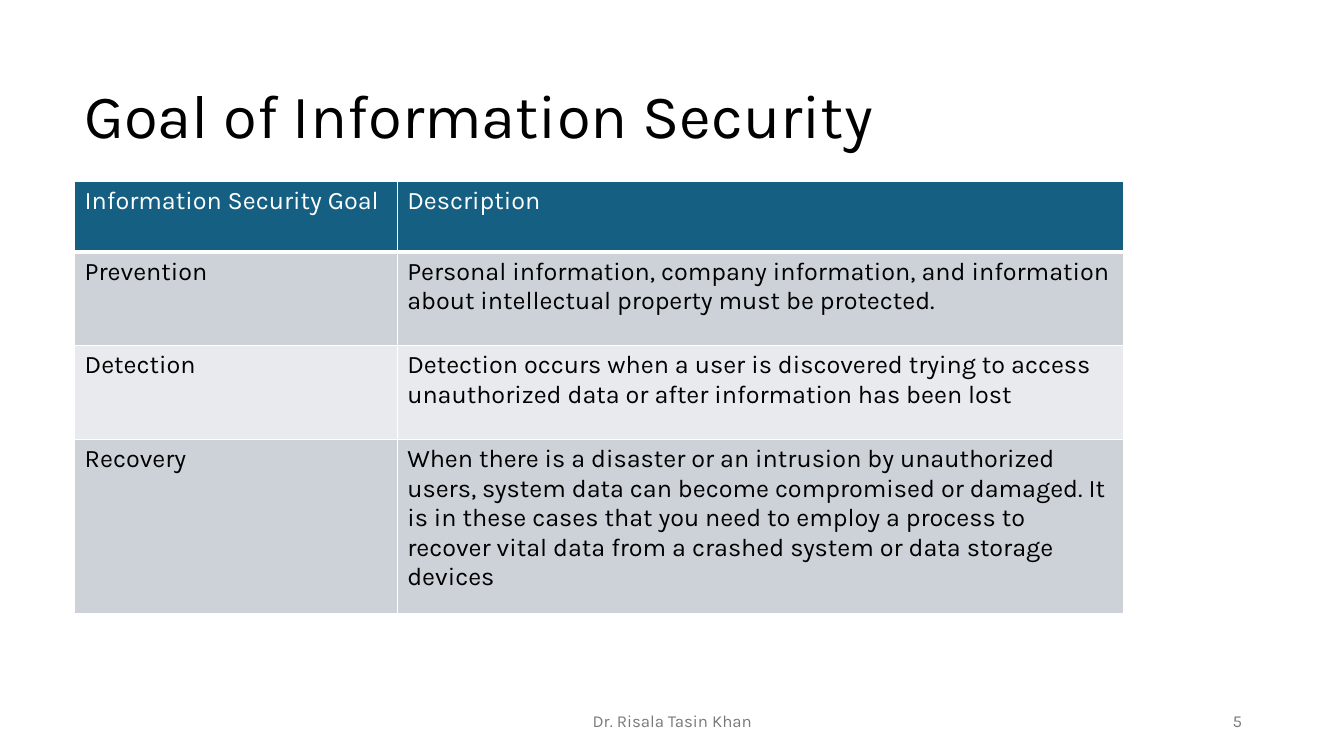
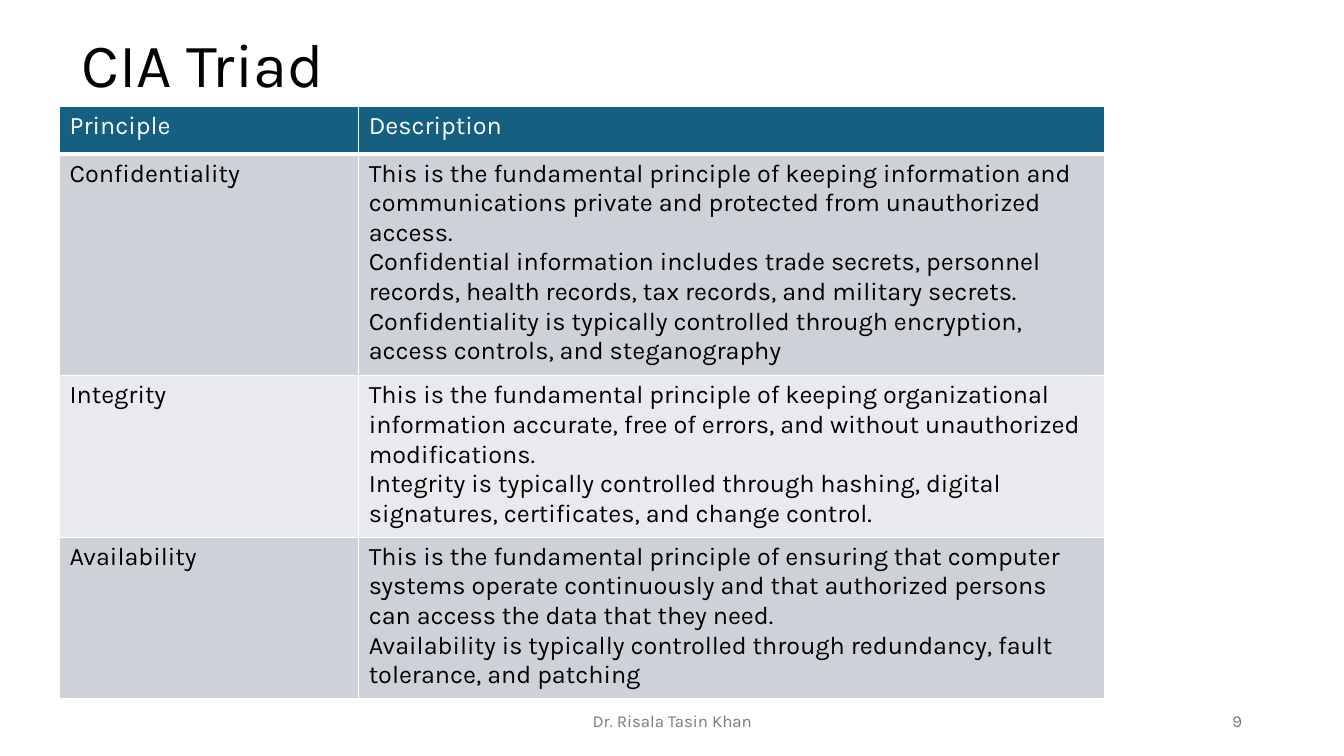
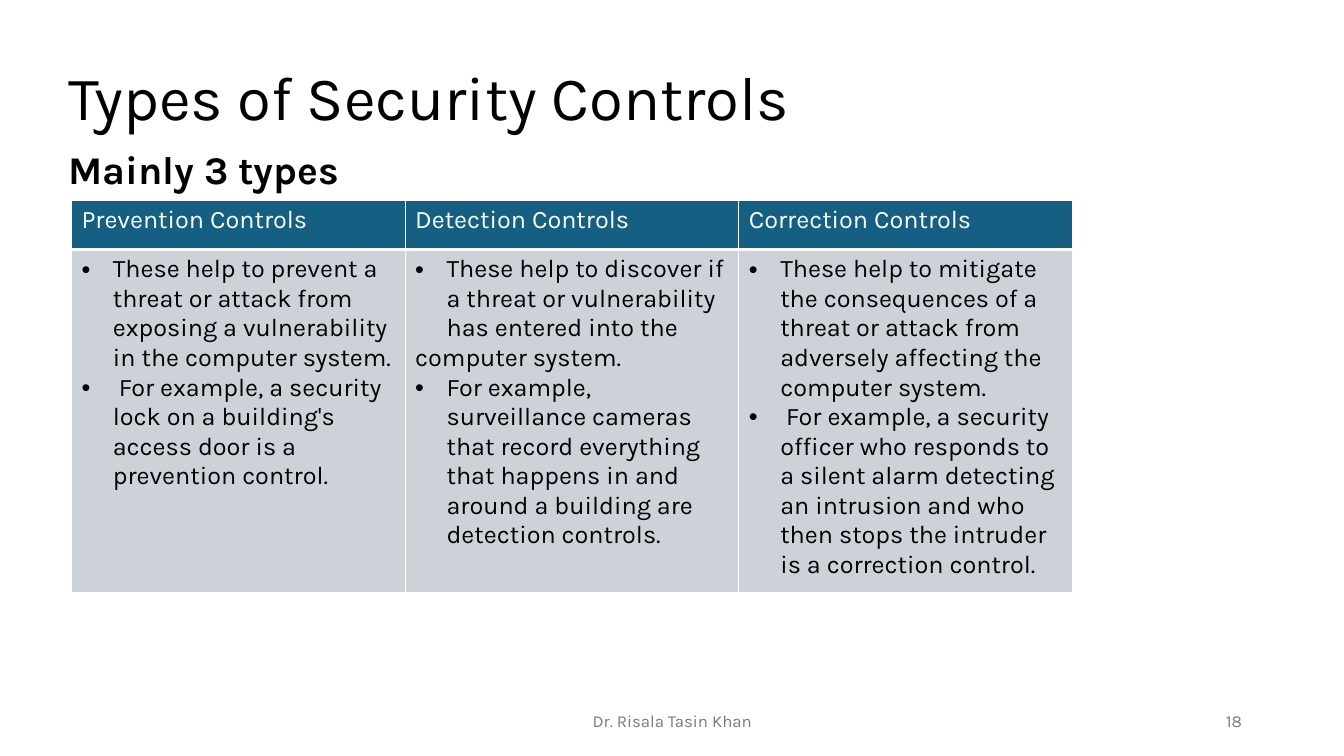
from dataclasses import dataclass

from lxml import etree
from pptx import Presentation
from pptx.dml.color import RGBColor
from pptx.enum.text import MSO_ANCHOR, MSO_AUTO_SIZE, PP_ALIGN
from pptx.oxml.ns import qn
from pptx.util import Cm, Pt

LEFT, MID, RIGHT = PP_ALIGN.LEFT, PP_ALIGN.CENTER, PP_ALIGN.RIGHT
TOP, CENTRE = MSO_ANCHOR.TOP, MSO_ANCHOR.MIDDLE
FIXED = MSO_AUTO_SIZE.NONE
TITLE_ONLY = 5
BULLET = "•"


@dataclass(frozen=True)
class Theme:
    font: str = "Karla"
    ink: str = "000000"
    white: str = "FFFFFF"
    grey: str = "797979"
    head: str = "156082"
    bands: tuple = ("CCD2D8", "E8EAED")
    title: int = 44
    lead: int = 28
    cell: int = 18
    foot: int = 12
    indent: float = 0.79
    thin: int = 1
    thick: int = 3


THEME = Theme()


def add_bullet(para):
    props = para._p.get_or_add_pPr()
    step = Cm(THEME.indent)
    props.set("marL", str(step))
    props.set("indent", str(-step))
    etree.SubElement(props, qn("a:buFont"), typeface="Arial")
    etree.SubElement(props, qn("a:buChar"), char=BULLET)


def write(frame, text, size=THEME.cell, color=THEME.ink, bold=False,
          align=LEFT, space=None):
    for i, line in enumerate(text.split("\n")):
        para = frame.add_paragraph() if i else frame.paragraphs[0]
        if line.startswith(BULLET):
            add_bullet(para)
        para.alignment = align
        para.line_spacing = space
        run = para.add_run()
        run.text = line.removeprefix(BULLET)
        font = run.font
        font.name, font.size, font.bold = THEME.font, Pt(size), bold
        font.color.rgb = RGBColor.from_string(color)


def add_edge(cell, side, width):
    props = cell._tc.get_or_add_tcPr()
    line = etree.SubElement(props, qn(f"a:ln{side}"), w=str(Pt(width)))
    fill = etree.SubElement(line, qn("a:solidFill"))
    etree.SubElement(fill, qn("a:srgbClr"), val=THEME.white)


class Deck:
    def __init__(self):
        self.file = Presentation()
        self.file.slide_width, self.file.slide_height = Cm(33.87), Cm(19.05)
        self.slide = None

    def start(self, title, number, left, top, height):
        layout = self.file.slide_layouts[TITLE_ONLY]
        self.slide = self.file.slides.add_slide(layout)
        shape = self.slide.shapes.title
        shape.left, shape.top = Cm(left), Cm(top)
        shape.width, shape.height = Cm(23.88), Cm(height)
        frame = shape.text_frame
        frame.word_wrap, frame.auto_size = True, FIXED
        frame.vertical_anchor = CENTRE
        write(frame, title, size=THEME.title, space=0.9)
        self.footer("Dr. Risala Tasin Khan", 11.23, 11.43, MID)
        self.footer(str(number), 23.93, 7.62, RIGHT)

    def label(self, text, left, top, width, height, anchor=TOP, **form):
        box = self.slide.shapes.add_textbox(
            Cm(left), Cm(top), Cm(width), Cm(height))
        frame = box.text_frame
        frame.word_wrap, frame.vertical_anchor = True, anchor
        write(frame, text, **form)

    def footer(self, text, left, width, align):
        self.label(text, left, 17.65, width, 1.02, anchor=CENTRE,
                   size=THEME.foot, color=THEME.grey, align=align)

    def table(self, left, top, cols, rows, data):
        grid = self.slide.shapes.add_table(
            len(rows), len(cols), Cm(left), Cm(top),
            Cm(sum(cols)), Cm(sum(rows))).table
        for col, width in zip(grid.columns, cols):
            col.width = Cm(width)
        for i, (row, height, texts) in enumerate(zip(grid.rows, rows, data)):
            row.height = Cm(height)
            for cell, text in zip(row.cells, texts):
                self.cell(cell, text, i)

    def cell(self, cell, text, row):
        head = row == 0
        for side in "LRTB":
            thick = head and side == "B"
            add_edge(cell, side, THEME.thick if thick else THEME.thin)
        fill = THEME.head if head else THEME.bands[(row - 1) % 2]
        cell.fill.solid()
        cell.fill.fore_color.rgb = RGBColor.from_string(fill)
        write(cell.text_frame, text, color=THEME.white if head else THEME.ink)


GOALS = [
    ("Information Security Goal", "Description"),
    ("Prevention",
     "Personal information, company information, and information about "
     "intellectual property must be protected."),
    ("Detection",
     "Detection occurs when a user is discovered trying to access "
     "unauthorized data or after information has been lost"),
    ("Recovery",
     "When there is a disaster or an intrusion by unauthorized users, system "
     "data can become compromised or damaged. It is in these cases that you "
     "need to employ a process to recover vital data from a crashed system "
     "or data storage devices"),
]

TRIAD = [
    ("Principle", "Description"),
    ("Confidentiality",
     "This is the fundamental principle of keeping information and "
     "communications private and protected from unauthorized access.\n"
     "Confidential information includes trade secrets, personnel records, "
     "health records, tax records, and military secrets.\n"
     "Confidentiality is typically controlled through encryption, access "
     "controls, and steganography"),
    ("Integrity",
     "This is the fundamental principle of keeping organizational "
     "information accurate, free of errors, and without unauthorized "
     "modifications.\n"
     "Integrity is typically controlled through hashing, digital signatures, "
     "certificates, and change control."),
    ("Availability",
     "This is the fundamental principle of ensuring that computer systems "
     "operate continuously and that authorized persons can access the data "
     "that they need.\n"
     "Availability is typically controlled through redundancy, fault "
     "tolerance, and patching"),
]

TYPES = [
    ("Prevention Controls", "Detection Controls", "Correction Controls"),
    ("•These help to prevent a threat or attack from exposing a "
     "vulnerability in the computer system.\n"
     "• For example, a security lock on a building's access door is a "
     "prevention control.",
     "•These help to discover if a threat or vulnerability has entered into "
     "the\n"
     "computer system.\n"
     "•For example, surveillance cameras that record everything that happens "
     "in and around a building are detection controls.",
     "•These help to mitigate the consequences of a threat or attack from "
     "adversely affecting the computer system.\n"
     "• For example, a security officer who responds to a silent alarm "
     "detecting an intrusion and who then stops the intruder is a "
     "correction control."),
]


def main():
    deck = Deck()

    deck.start("Goal of Information Security", 5, 1.88, 1.7, 2.59)
    deck.table(1.88, 4.57, (8.13, 18.31), (1.78, 2.36, 2.36, 4.39), GOALS)

    deck.start("CIA Triad", 9, 1.8, 0.71, 1.98)
    deck.table(1.5, 2.69, (7.54, 18.8), (1.19, 5.46, 3.99, 3.99), TRIAD)

    deck.start("Types of Security Controls", 18, 1.47, 0.71, 3.66)
    deck.label("Mainly 3 types", 1.47, 3.66, 24.28, 13.11,
               size=THEME.lead, bold=True, space=0.9)
    deck.table(1.8, 5.05, (8.41,) * 3, (1.24, 8.43), TYPES)

    deck.file.save("out.pptx")


if __name__ == "__main__":
    main()
